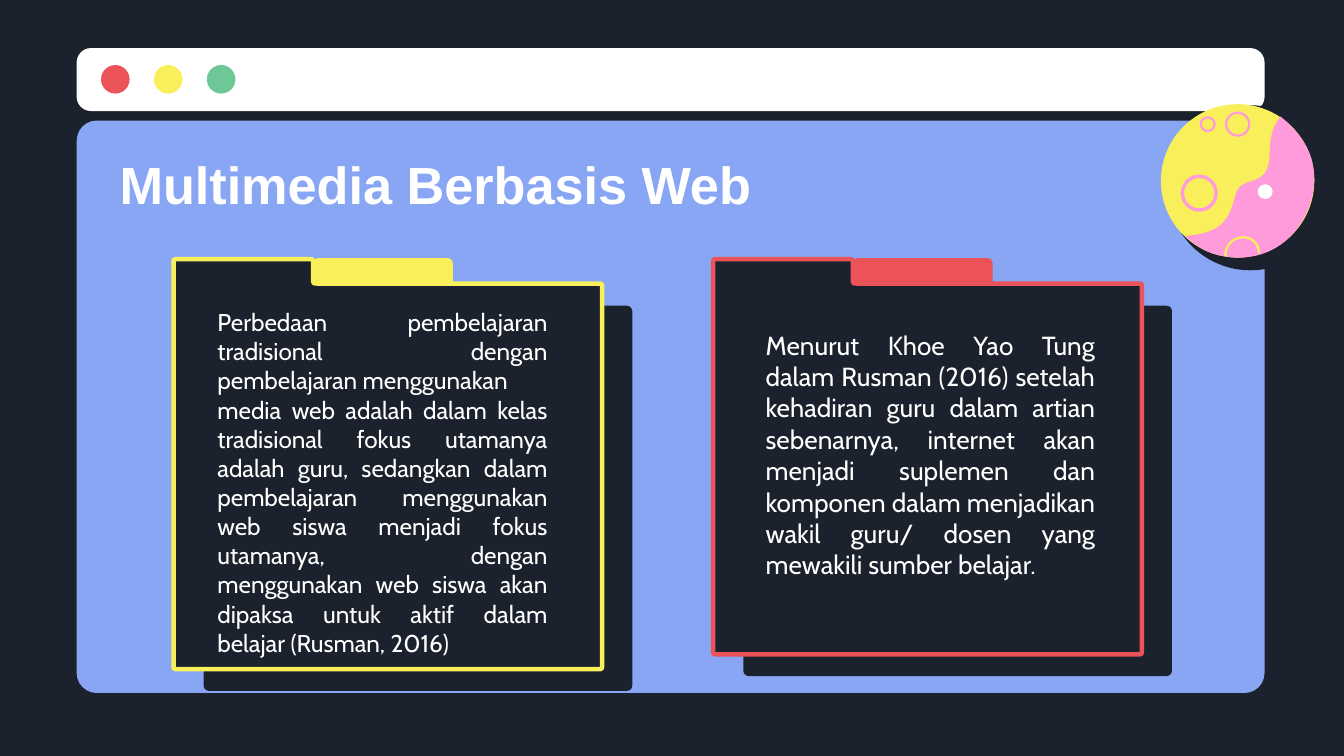
from pptx import Presentation
from pptx.dml.color import RGBColor
from pptx.enum.shapes import MSO_SHAPE as Preset
from pptx.enum.text import MSO_ANCHOR as Anchor, MSO_AUTO_SIZE as AutoSize, PP_ALIGN as Align
from pptx.util import Cm, Pt

NAVY, BLUE, WHITE = "1B222D", "88A6F3", "FFFFFF"
RED, YELLOW, GREEN, PINK = "EB5358", "F8EF5B", "6DC797", "FF9BDA"

FOLDERS = [
    dict(box=(13.48, 4.9, 8.1, 7.47), accent=RED, text_offset=(0.74, 1.07), size=14, texts=[
        "Menurut Khoe Yao Tung dalam Rusman (2016) setelah kehadiran guru dalam artian "
        "sebenarnya, internet akan menjadi suplemen dan komponen dalam menjadikan wakil "
        "guru/ dosen yang mewakili sumber belajar."]),
    dict(box=(3.28, 4.9, 8.1, 7.75), accent=YELLOW, text_offset=(0.58, 0.66), size=13, texts=[
        "Perbedaan pembelajaran tradisional dengan pembelajaran menggunakan",
        "media web adalah dalam kelas tradisional fokus utamanya adalah guru, sedangkan "
        "dalam pembelajaran menggunakan web siswa menjadi fokus utamanya, dengan "
        "menggunakan web siswa akan dipaksa untuk aktif dalam belajar (Rusman, 2016)"]),
]

MOON_PATCH = [
    (0.78, 0.08), (0.85, 0.14), (0.92, 0.21), (0.96, 0.3), (0.99, 0.36), (1, 0.43), (1, 0.5),
    (0.99, 0.72), (0.85, 0.92), (0.65, 0.98), (0.57, 1), (0.49, 1.01), (0.41, 0.99),
    (0.32, 0.98), (0.23, 0.93), (0.16, 0.86), (0.37, 0.84), (0.44, 0.78), (0.48, 0.61),
    (0.52, 0.43), (0.71, 0.58), (0.71, 0.31), (0.71, 0.18), (0.75, 0.12), (0.78, 0.08)]
MOON_ARC = [(0.42, 0.99), (0.42, 0.84), (0.63, 0.82), (0.64, 0.97)]
MOON_RINGS = [(0.25, 0.58, 0.11, 1.8), (0.5, 0.13, 0.075, 1.2), (0.305, 0.13, 0.045, 1.2)]


def color(value):
    """Turn a hex string into a colour."""
    return RGBColor.from_string(value)


def paint(shape, fill=None, line=None, width=1):
    """Set the fill and line of a shape and drop its shadow."""
    shape.shadow.inherit = False
    for part, value in ((shape.fill, fill), (shape.line.fill, line)):
        if value:
            part.solid()
            part.fore_color.rgb = color(value)
        else:
            part.background()
    if line:
        shape.line.width = Pt(width)
    return shape


def add_preset(slide, preset, box, radius=None, **look):
    """Add a painted preset shape, with a corner radius if given."""
    shape = slide.shapes.add_shape(preset, *map(Cm, box))
    if radius:
        shape.adjustments[0] = radius / min(box[2:])
    return paint(shape, **look)


def add_circle(slide, x, y, radius, **look):
    """Add a circle around a centre."""
    return add_preset(slide, Preset.OVAL, (x - radius, y - radius, 2 * radius, 2 * radius), **look)


def add_outline(slide, points, closed=True, **look):
    """Add a freeform through points."""
    start, *rest = [(Cm(x), Cm(y)) for x, y in points]
    builder = slide.shapes.build_freeform(*start)
    builder.add_line_segments(rest, close=closed)
    return paint(builder.convert_to_shape(), **look)


def bezier(points, steps=12):
    """Sample a chain of cubic curves."""
    samples = [points[0]]
    for first in range(0, len(points) - 1, 3):
        a, b, c, d = points[first:first + 4]
        for step in range(1, steps + 1):
            t = step / steps
            u = 1 - t
            samples.append(tuple(u**3 * p + 3 * u * u * t * q + 3 * u * t * t * r + t**3 * s
                                 for p, q, r, s in zip(a, b, c, d)))
    return samples


def round_corners(corners, radius):
    """Replace the corners of a right-angled outline by short curves."""
    samples = []
    for index, corner in enumerate(corners):
        ends = []
        for other in (corners[index - 1], corners[(index + 1) % len(corners)]):
            length = max(abs(other[0] - corner[0]), abs(other[1] - corner[1]))
            ends.append(tuple(p + (q - p) * radius / length for p, q in zip(corner, other)))
        samples += bezier([ends[0], corner, corner, ends[1]], 5)
    return samples


def write(frame, texts, align, anchor, **font_format):
    """Fill a text frame with evenly formatted paragraphs."""
    frame_format = dict(word_wrap=True, auto_size=AutoSize.NONE, vertical_anchor=anchor)
    frame_format |= {f"margin_{side}": Cm(0.25) for side in ("left", "top", "right", "bottom")}
    for name, value in frame_format.items():
        setattr(frame, name, value)
    for index, text in enumerate(texts):
        paragraph = frame.add_paragraph() if index else frame.paragraphs[0]
        paragraph.alignment = align
        run = paragraph.add_run()
        run.text = text
        for name, value in font_format.items():
            setattr(run.font, name, value)
        run.font.color.rgb = color(WHITE)


def add_window(slide, box):
    """Draw the browser window: address bar, three buttons and page."""
    left, top, width, height = box
    add_preset(slide, Preset.ROUNDED_RECTANGLE, (left, top + 1.37, width, height - 1.37), 0.38, fill=BLUE)
    add_preset(slide, Preset.ROUNDED_RECTANGLE, (left, top, width, 1.19), 0.27, fill=WHITE)
    for index, fill in enumerate((RED, YELLOW, GREEN)):
        add_circle(slide, left + 0.73 + index, top + 0.59, 0.27, fill=fill)


def add_moon(slide, box):
    """Draw the two-coloured moon with its craters and shadow."""
    left, top, size, _ = box

    def place(points):
        """Scale unit points to the moon box."""
        return [(left + x * size, top + y * size) for x, y in points]

    add_preset(slide, Preset.OVAL, (left + 0.13, top + 0.02, 3.12, 3.12), fill=NAVY)
    add_preset(slide, Preset.OVAL, box, fill=YELLOW)
    add_outline(slide, place(bezier(MOON_PATCH)), fill=PINK)
    add_outline(slide, place(bezier(MOON_ARC)), closed=False, line=YELLOW, width=1.2)
    for x, y, radius, width in MOON_RINGS:
        add_circle(slide, *place([(x, y)])[0], radius * size, line=PINK, width=width)
    add_circle(slide, *place([(0.68, 0.57)])[0], 0.14, fill=WHITE)


def add_title(slide, box, text):
    """Move the title placeholder to the front and format it."""
    title = slide.shapes.title
    title.element.getparent().append(title.element)
    for name, value in zip(("left", "top", "width", "height"), box):
        setattr(title, name, Cm(value))
    write(title.text_frame, [text], Align.LEFT, Anchor.MIDDLE, name="Arial", size=Pt(28), bold=True)


def add_folder(slide, box, accent, text_offset, size, texts):
    """Draw a folder with its shadow, tab and text."""
    left, top, width, height = box
    right, bottom = left + width, top + height
    tab, shoulder = left + 2.64, top + 0.46
    add_preset(slide, Preset.ROUNDED_RECTANGLE, (left + 0.57, top + 0.88, width, height - 0.47), 0.1, fill=NAVY)
    add_preset(slide, Preset.ROUNDED_RECTANGLE, (tab, top - 0.02, 2.64, 0.9), 0.1, fill=accent)
    corners = [(left, top), (tab, top), (tab, shoulder), (right, shoulder), (right, bottom), (left, bottom)]
    add_outline(slide, round_corners(corners, 0.08), fill=NAVY, line=accent, width=2.4)
    text_box = slide.shapes.add_textbox(
        Cm(left + text_offset[0]), Cm(top + text_offset[1]), Cm(6.73), Cm(2.79))
    write(text_box.text_frame, texts, Align.JUSTIFY, Anchor.TOP, name="Cabin", size=Pt(size))


def main():
    """Build and save the presentation."""
    presentation = Presentation()
    presentation.slide_width, presentation.slide_height = Cm(25.4), Cm(14.29)
    slide = presentation.slides.add_slide(presentation.slide_layouts[5])
    slide.background.fill.solid()
    slide.background.fill.fore_color.rgb = color(NAVY)
    add_window(slide, (1.45, 0.91, 22.45, 12.19))
    add_moon(slide, (21.94, 1.97, 2.9, 2.9))
    add_title(slide, (2.01, 2.69, 21.41, 1.57), "Multimedia Berbasis Web")
    for folder in FOLDERS:
        add_folder(slide, **folder)
    presentation.save("out.pptx")


if __name__ == "__main__":
    main()
